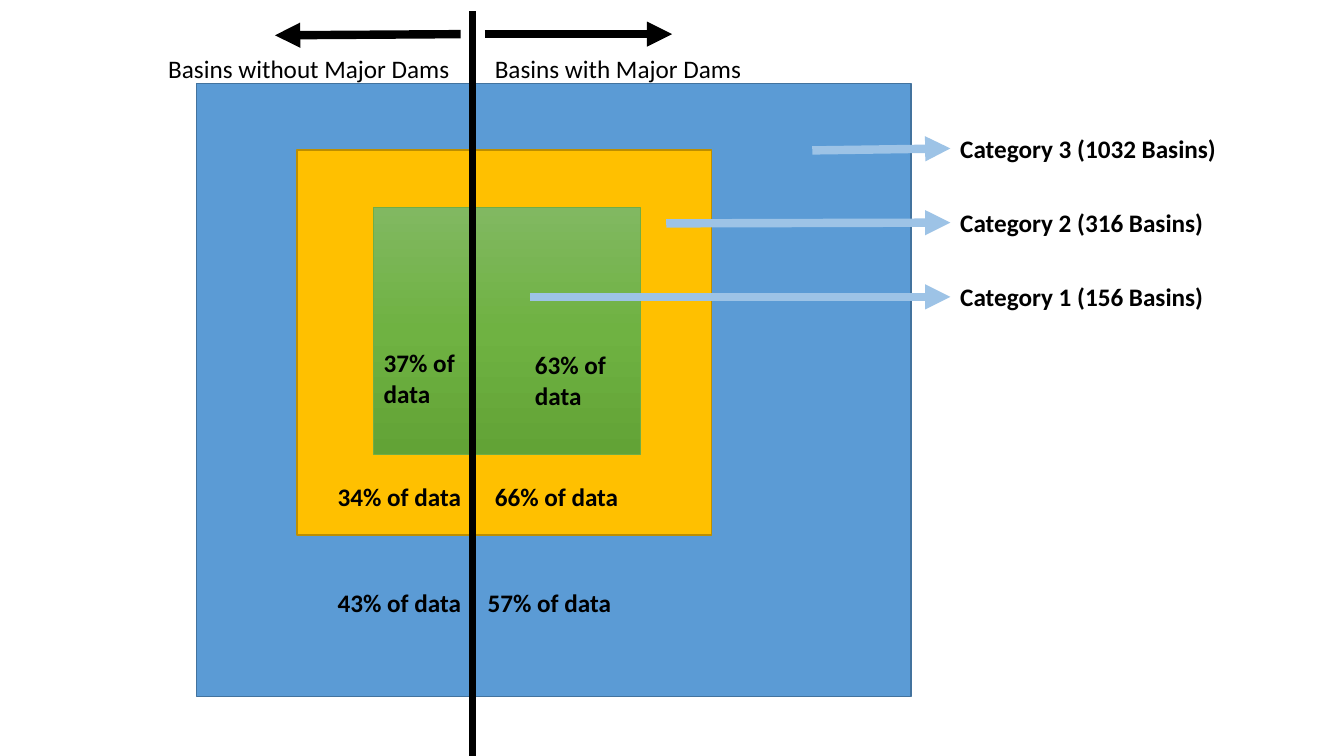
"""Draw nested basin categories split by the presence of major dams."""
from copy import deepcopy

from lxml import etree
from pptx import Presentation
from pptx.dml.color import RGBColor
from pptx.enum.shapes import MSO_CONNECTOR, MSO_SHAPE
from pptx.oxml.ns import qn
from pptx.util import Cm, Pt

RECT = MSO_SHAPE.RECTANGLE
STRAIGHT = MSO_CONNECTOR.STRAIGHT
BLACK, SKY = "000000", "9DC3E6"
GREENS = [(0, "81B861"), (0.5, "6FB242"), (1, "62A336")]


def paint(color, code):
    """Set a colour from a hex string."""
    color.rgb = RGBColor.from_string(code)


def blend(fill, shape, stops):
    """Fill a shape with a gradient running downwards."""
    fill.gradient()
    fill.gradient_angle = 270
    group = shape._element.spPr.find(qn("a:gradFill")).find(qn("a:gsLst"))
    while len(group) < len(stops):
        group.append(deepcopy(group[0]))
    for mark, (place, code) in zip(fill.gradient_stops, stops):
        mark.position = place
        paint(mark.color, code)


def block(slide, x, y, wide, high, fill, edge, width):
    """Add a rectangle with a plain or gradient fill."""
    shape = slide.shapes.add_shape(RECT, Cm(x), Cm(y), Cm(wide), Cm(high))
    shape.shadow.inherit = False
    if isinstance(fill, str):
        shape.fill.solid()
        paint(shape.fill.fore_color, fill)
    else:
        blend(shape.fill, shape, fill)
    paint(shape.line.color, edge)
    shape.line.width = Pt(width)


def rule(slide, start, end, code, width, arrow=True):
    """Add a straight line, with an arrowhead at its end if wanted."""
    points = [Cm(v) for v in (*start, *end)]
    line = slide.shapes.add_connector(STRAIGHT, *points)
    paint(line.line.color, code)
    line.line.width = Pt(width)
    if arrow:
        head = etree.SubElement(line.line._get_or_add_ln(), qn("a:tailEnd"))
        head.set("type", "triangle")
    etree.SubElement(line._element.spPr, qn("a:effectLst"))


def label(slide, x, y, wide, text, bold=True, high=1.02):
    """Add a wrapped text label."""
    box = slide.shapes.add_textbox(Cm(x), Cm(y), Cm(wide), Cm(high))
    box.text_frame.word_wrap = True
    para = box.text_frame.paragraphs[0]
    para.text = text
    font = para.font
    font.name, font.size, font.bold = "Calibri", Pt(18), bold
    paint(font.color, BLACK)


def nest(slide, x, y):
    """Draw the three nested category blocks."""
    block(slide, x, y, 18.01, 15.44, "5B9BD5", "43739E", 1)
    block(slide, x + 2.54, y + 1.67, 10.44, 9.7, "FFC000", "BD8E00", 1)
    block(slide, x + 4.47, y + 3.12, 6.71, 6.22, GREENS, "70AD47", 0.5)


def split(slide, x, y, high):
    """Draw the dividing line with a heading and an arrow on each side."""
    rule(slide, (x, y), (x, y + high), BLACK, 4.5, False)
    rule(slide, (x + 0.31, y + 0.58), (x + 5.03, y + 0.58), BLACK, 6)
    rule(slide, (x - 0.3, y + 0.58), (x - 4.98, y + 0.61), BLACK, 6)
    label(slide, x + 0.31, y + 0.94, 6.99, "Basins with Major Dams", False)
    label(slide, x - 7.92, y + 0.94, 7.92, "Basins without Major Dams", False)


def keys(slide, x, y):
    """Name the categories and point to them from their blocks."""
    rows = [(3, 1032, 3.48, 0.05), (2, 316, 7.16, 0.02), (1, 156, 10.59, 0)]
    for i, (rank, count, reach, drop) in enumerate(rows):
        top = y + 1.87 * i
        label(slide, x, top, 7.14, f"Category {rank} ({count} Basins)")
        level = top + 0.51
        rule(slide, (x - reach, level + drop), (x, level), SKY, 6)


def shares(slide, x, y):
    """Write the shares of data on both sides of the dividing line."""
    label(slide, x - 2.49, y, 2.59, "37% of data", high=1.8)
    label(slide, x + 1.32, y + 0.05, 2.59, "63% of data", high=1.8)
    rows = [(3.37, "34%", "66%", 0.31), (6.04, "43%", "57%", 0.13)]
    for drop, left, right, gap in rows:
        label(slide, x - 3.65, y + drop, 3.75, f"{left} of data")
        label(slide, x + gap, y + drop, 3.75, f"{right} of data")


def main():
    """Build and save the slide."""
    deck = Presentation()
    deck.slide_width, deck.slide_height = Cm(33.87), Cm(19.05)
    slide = deck.slides.add_slide(deck.slide_layouts[6])
    nest(slide, 4.95, 2.11)
    split(slide, 11.91, 0.28, 18.77)
    keys(slide, 23.95, 3.23)
    shares(slide, 11.91, 8.64)
    deck.save("out.pptx")


main()
